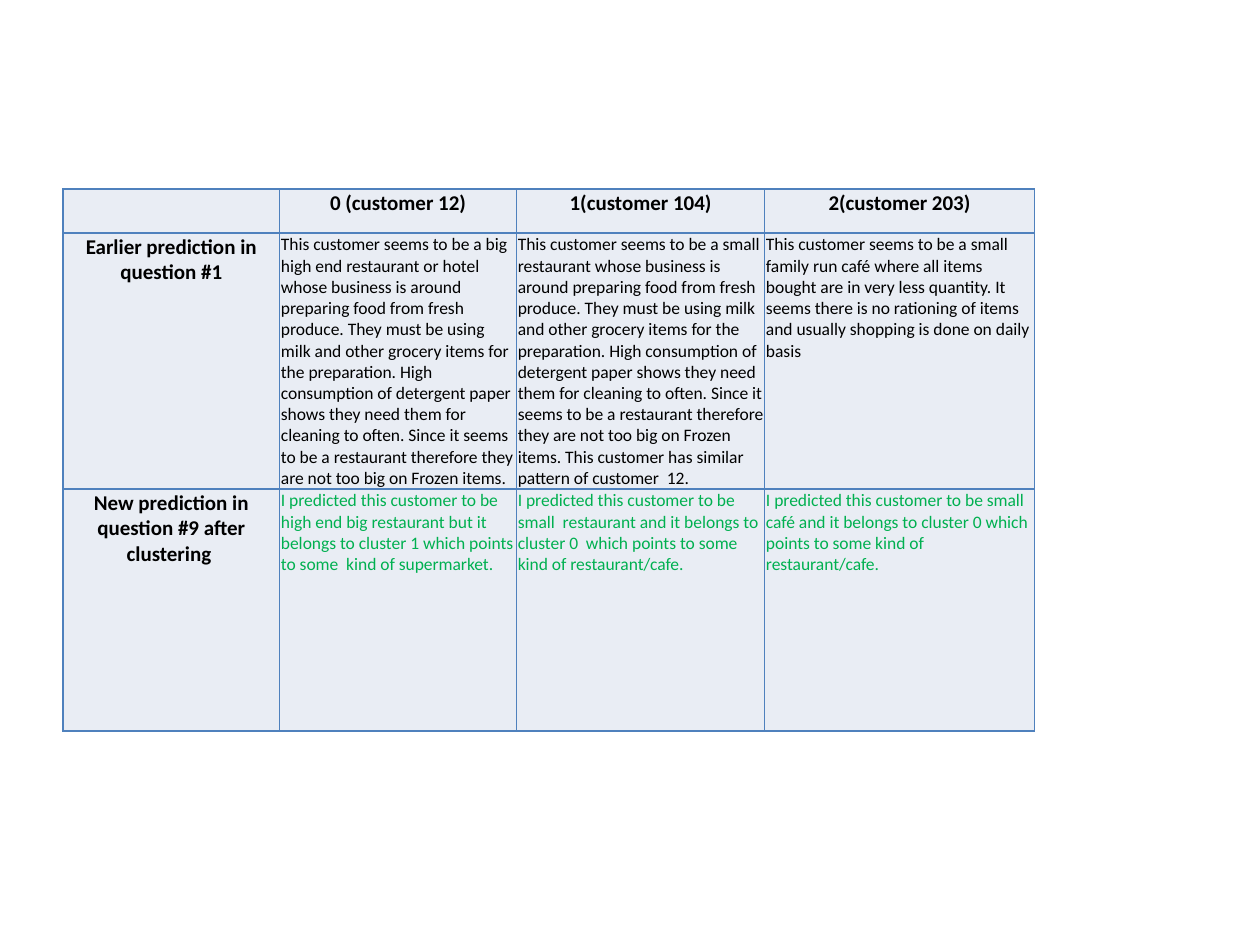
from dataclasses import dataclass

from lxml.etree import SubElement
from pptx import Presentation
from pptx.dml.color import RGBColor
from pptx.enum.text import PP_ALIGN
from pptx.oxml.ns import qn
from pptx.util import Inches, Pt

CUSTOMERS = ["", "0 (customer 12)", "1(customer 104)", "2(customer 203)"]
EARLIER = [
    "Earlier prediction in question #1",
    "This customer seems to be a big high end restaurant or hotel whose business is around "
    "preparing food from fresh produce. They must be using milk and other grocery items for "
    "the preparation. High consumption of detergent paper shows they need them for cleaning "
    "to often. Since it seems to be a restaurant therefore they are not too big on Frozen items. ",
    "This customer seems to be a small restaurant whose business is around preparing food from "
    "fresh produce. They must be using milk and other grocery items for the preparation. High "
    "consumption of detergent paper shows they need them for cleaning to often. Since it seems "
    "to be a restaurant therefore they are not too big on Frozen items. This customer has "
    "similar pattern of customer  12.",
    "This customer seems to be a small family run café where all items bought are in very less "
    "quantity. It seems there is no rationing of items and usually shopping is done on daily basis",
]
REVISED = [
    "New prediction in question #9 after clustering ",
    "I predicted this customer to be high end big restaurant but it belongs to cluster 1 which "
    "points to some  kind of supermarket.",
    "I predicted this customer to be small  restaurant and it belongs to cluster 0  which points "
    "to some kind of restaurant/cafe.",
    "I predicted this customer to be small  café and it belongs to cluster 0 which points to "
    "some kind of restaurant/cafe.",
]
PREDICTIONS = [CUSTOMERS, EARLIER, REVISED]
COLUMN_WIDTHS = [1.72, 1.88, 1.97, 2.14]
ROW_HEIGHTS = [0.35, 1.92, 1.92]


@dataclass(frozen=True)
class Theme:
    font: str = "Calibri"
    heading_size: int = 12
    body_size: int = 10
    text: str = "000000"
    revised: str = "00B050"
    fill: str = "E9EDF4"
    border: str = "4F81BD"
    border_width: int = 1


THEME = Theme()


def add_borders(cell):
    properties = cell._tc.get_or_add_tcPr()
    for position, side in enumerate(("a:lnL", "a:lnR", "a:lnT", "a:lnB")):
        border = properties.makeelement(qn(side), {"w": str(Pt(THEME.border_width))})
        fill = SubElement(border, qn("a:solidFill"))
        SubElement(fill, qn("a:srgbClr"), val=THEME.border)
        properties.insert(position, border)


def fill_cell(cell, wording, heading, color):
    cell.fill.solid()
    cell.fill.fore_color.rgb = RGBColor.from_string(THEME.fill)
    cell.margin_left = cell.margin_right = cell.margin_top = Inches(0.01)
    cell.margin_bottom = 0
    add_borders(cell)
    if not wording:
        return
    paragraph = cell.text_frame.paragraphs[0]
    paragraph.alignment = PP_ALIGN.CENTER if heading else PP_ALIGN.LEFT
    run = paragraph.add_run()
    run.text = wording
    run.font.name = THEME.font
    run.font.size = Pt(THEME.heading_size if heading else THEME.body_size)
    run.font.bold = heading
    run.font.color.rgb = RGBColor.from_string(color)


presentation = Presentation()
presentation.slide_width, presentation.slide_height = Inches(10), Inches(7.5)
slide = presentation.slides.add_slide(presentation.slide_layouts[6])

comparison = slide.shapes.add_table(
    len(ROW_HEIGHTS), len(COLUMN_WIDTHS), Inches(0.5), Inches(1.5),
    Inches(sum(COLUMN_WIDTHS)), Inches(sum(ROW_HEIGHTS)),
).table
for column, width in zip(comparison.columns, COLUMN_WIDTHS):
    column.width = Inches(width)
for row, height in zip(comparison.rows, ROW_HEIGHTS):
    row.height = Inches(height)

for row_index, predictions in enumerate(PREDICTIONS):
    for column_index, wording in enumerate(predictions):
        heading = row_index == 0 or column_index == 0
        revised = predictions is REVISED and not heading
        fill_cell(comparison.cell(row_index, column_index), wording, heading,
                  THEME.revised if revised else THEME.text)

presentation.save("out.pptx")
